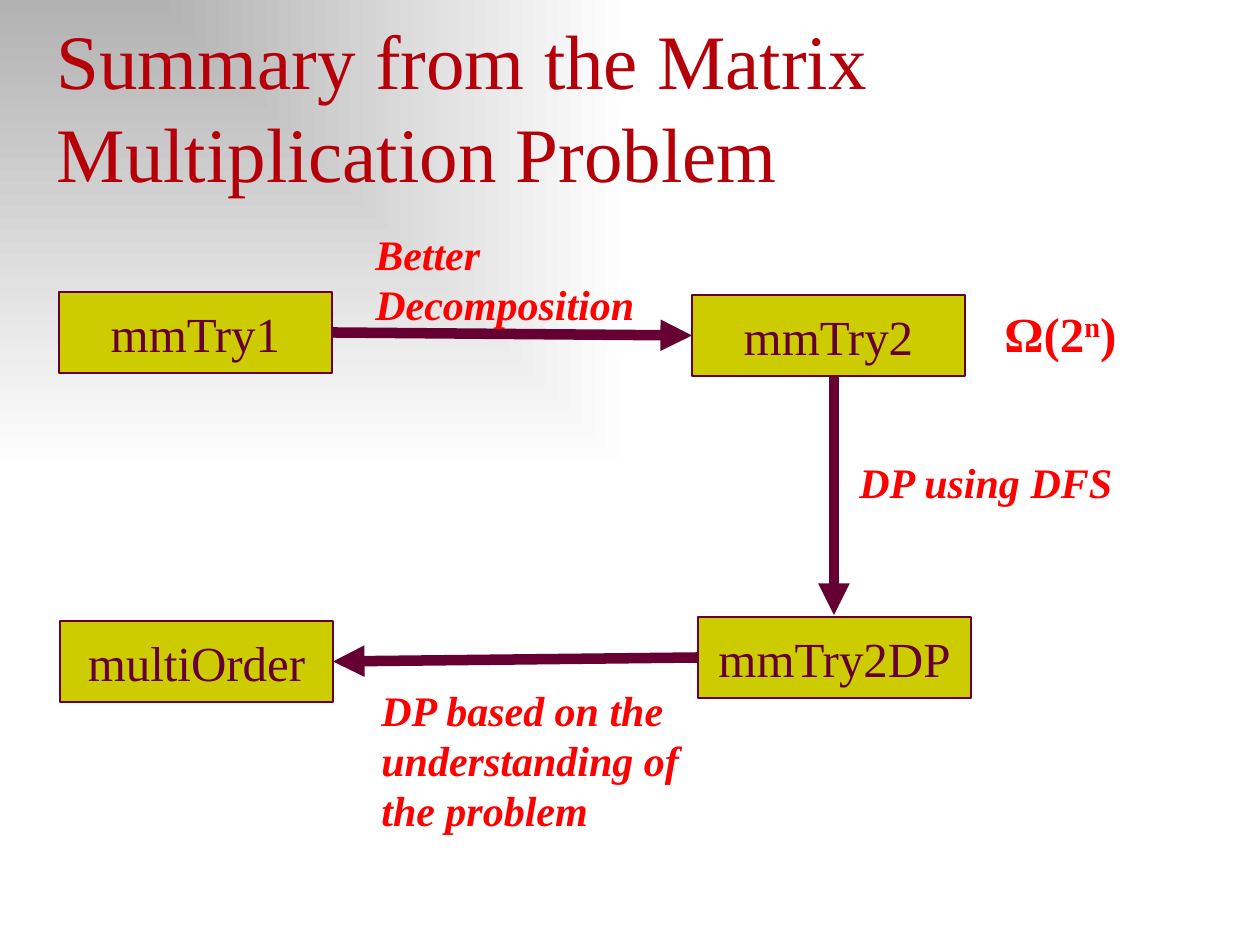
from lxml.etree import SubElement as Sub
from pptx import Presentation
from pptx.dml.color import RGBColor
from pptx.enum.shapes import MSO_CONNECTOR as Link, MSO_SHAPE as Form
from pptx.enum.text import MSO_ANCHOR as Anchor, MSO_AUTO_SIZE as Fit, PP_ALIGN as Align
from pptx.oxml.ns import qn
from pptx.util import Emu, Pt

GRAY = RGBColor(0xB2, 0xB2, 0xB2)
WHITE = RGBColor(0xFF, 0xFF, 0xFF)
CRIMSON = RGBColor(0xB6, 0x00, 0x09)
RED = RGBColor(0xFF, 0x00, 0x00)
OLIVE = RGBColor(0xCC, 0xCC, 0x00)
PLUM = RGBColor(0x66, 0x00, 0x33)
FACE = "Times New Roman"
SCALE = 914400 / 126
BOX = (273, 81)


def px(*nums):
    return [Emu(round(n * SCALE)) for n in nums]


class Deck:
    def __init__(self):
        self.show = Presentation()
        self.show.slide_width, self.show.slide_height = px(1260, 945)
        self.slide = self.show.slides.add_slide(self.show.slide_layouts[5])
        self.shapes = self.slide.shapes

    def style(self, run, size, color, bold=False, italic=False):
        font = run.font
        font.name, font.size, font.bold, font.italic = FACE, Pt(size), bold, italic
        font.color.rgb = color

    def back(self):
        fill = self.slide.background.fill
        fill.gradient()
        for stop, color in zip(fill.gradient_stops, (GRAY, WHITE)):
            stop.color.rgb = color
        grad = self.slide.element.xpath(".//p:bg//a:gradFill")[0]
        for lin in grad.findall(qn("a:lin")):
            grad.remove(lin)
        way = Sub(grad, qn("a:path"), {"path": "rect"})
        Sub(way, qn("a:fillToRect"), {"r": "100000", "b": "100000"})

    def title(self, text, *area):
        head = self.shapes.title
        head.left, head.top, head.width, head.height = px(*area)
        frame = head.text_frame
        frame.text = text
        frame.vertical_anchor = Anchor.BOTTOM
        frame.auto_size = Fit.SHAPE_TO_FIT_TEXT
        line = frame.paragraphs[0]
        line.alignment = Align.LEFT
        self.style(line.runs[0], 44, CRIMSON)

    def box(self, text, x, y):
        box = self.shapes.add_shape(Form.RECTANGLE, *px(x, y, *BOX))
        box.shadow.inherit = False
        box.fill.solid()
        box.fill.fore_color.rgb = OLIVE
        box.line.color.rgb = PLUM
        box.line.width = Pt(0.75)
        frame = box.text_frame
        frame.text = text
        frame.word_wrap = False
        frame.vertical_anchor = Anchor.MIDDLE
        line = frame.paragraphs[0]
        line.alignment = Align.CENTER
        self.style(line.runs[0], 28, PLUM)
        return box

    def label(self, parts, area, size=24, italic=True):
        box = self.shapes.add_textbox(*px(*area))
        frame = box.text_frame
        frame.word_wrap = True
        frame.auto_size = Fit.SHAPE_TO_FIT_TEXT
        for text, base in parts:
            run = frame.paragraphs[0].add_run()
            run.text = text
            self.style(run, size, RED, True, italic)
            if base:
                run.font._element.set("baseline", str(base * 1000))

    def arrow(self, *ends):
        line = self.shapes.add_connector(Link.STRAIGHT, *px(*ends))
        line.line.color.rgb = PLUM
        line.line.width = Pt(6)
        Sub(line.line._get_or_add_ln(), qn("a:tailEnd"), {"type": "triangle"})
        Sub(line._element.spPr, qn("a:effectLst"))
        return line

    def join(self, start, side, end, goal):
        line = self.arrow(0, 0, 0, 0)
        line.begin_connect(start, side)
        line.end_connect(end, goal)


def main():
    deck = Deck()
    deck.back()
    deck.title("Summary from the Matrix Multiplication Problem", 44, 5, 1191, 199)
    first = deck.box("mmTry1", 59, 292)
    second = deck.box("mmTry2", 692, 295)
    deck.join(first, 3, second, 1)
    deck.label([("Ω(2", 0), ("n", 30), (")", 0)], (992, 297, 146, 72), 28, False)
    deck.label([("Better Decomposition", 0)], (363, 222, 300, 115))
    deck.arrow(834, 375, 834, 615)
    third = deck.box("mmTry2DP", 698, 617)
    deck.label([("DP using DFS", 0)], (847, 450, 282, 63))
    last = deck.box("multiOrder", 60, 621)
    deck.join(third, 1, last, 3)
    deck.label([("DP based on the understanding of the problem", 0)], (369, 678, 354, 165))
    deck.show.save("out.pptx")


if __name__ == "__main__":
    main()
